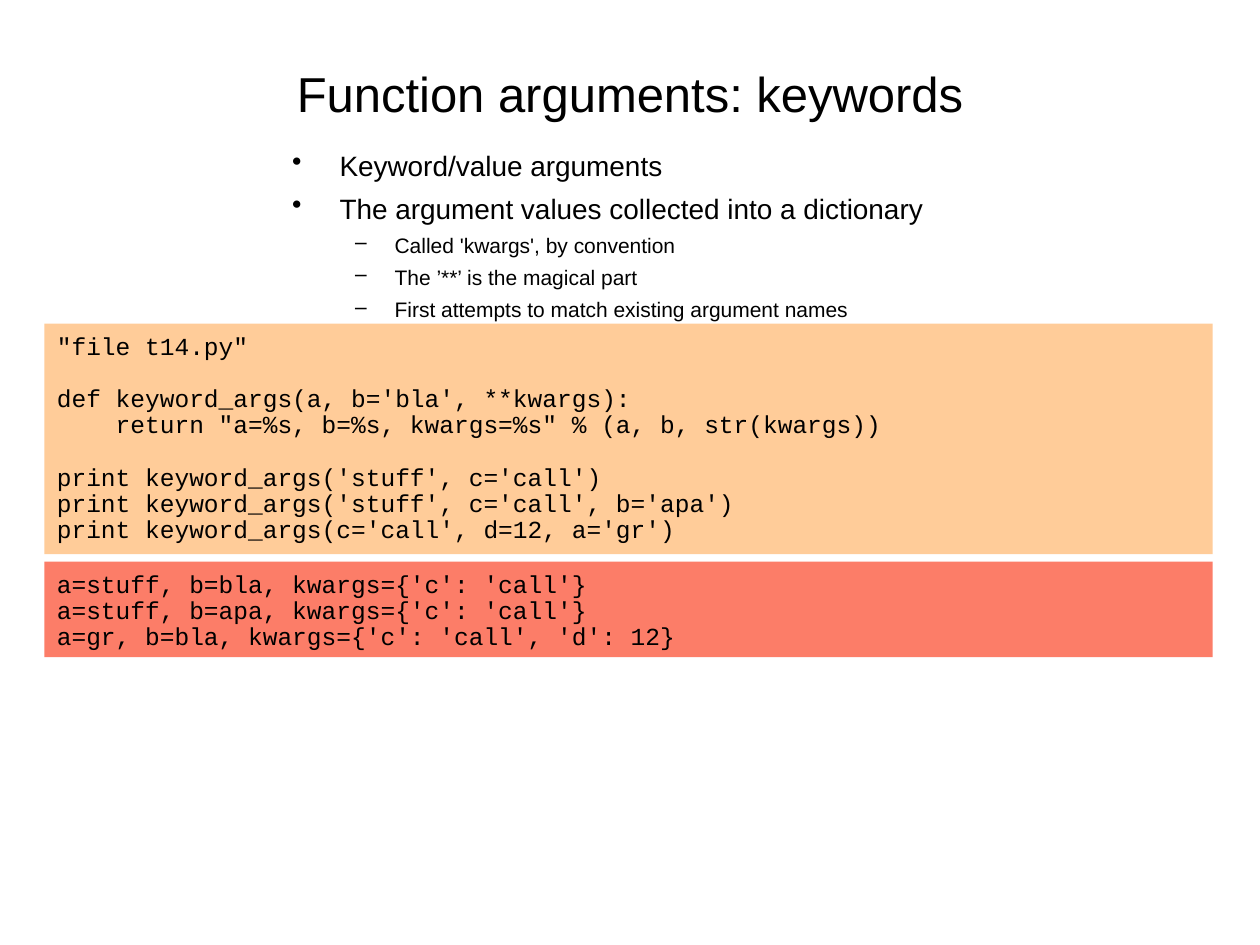
from dataclasses import dataclass

import pptx
import pptx.dml.color
import pptx.enum.shapes
import pptx.enum.text
import pptx.oxml.ns
import pptx.util
from lxml import etree

Pt = pptx.util.Pt
RGB = pptx.dml.color.RGBColor
ALIGN = pptx.enum.text.PP_ALIGN
ANCHOR = pptx.enum.text.MSO_ANCHOR


@dataclass(frozen=True)
class Theme:
    text: RGB = RGB(0x00, 0x00, 0x00)
    code_fill: RGB = RGB(0xFF, 0xCC, 0x99)
    output_fill: RGB = RGB(0xFC, 0x7D, 0x68)
    font: str = "Arial"
    code_font: str = "Courier New"
    title_size: int = 28
    bullet_sizes: tuple = (16, 12)
    code_size: int = 14
    code_leading: float = 14.95


THEME = Theme()

BULLETS = [
    (0, "Keyword/value arguments"),
    (0, "The argument values collected into a dictionary"),
    (1, "Called 'kwargs', by convention"),
    (1, "The ’**’ is the magical part"),
    (1, "First attempts to match existing argument names"),
]
LEVELS = [
    dict(char="•", left=27, hang=27, before=4.8),
    dict(char="–", left=58.5, hang=22.5, before=3.4),
]
CODE = [
    ['"file t14.py"'],
    [
        "def keyword_args(a, b='bla', **kwargs):",
        '    return "a=%s, b=%s, kwargs=%s" % (a, b, str(kwargs))',
    ],
    [
        "print keyword_args('stuff', c='call')",
        "print keyword_args('stuff', c='call', b='apa')",
        "print keyword_args(c='call', d=12, a='gr')",
    ],
]
OUTPUT = [[
    "a=stuff, b=bla, kwargs={'c': 'call'}",
    "a=stuff, b=apa, kwargs={'c': 'call'}",
    "a=gr, b=bla, kwargs={'c': 'call', 'd': 12}",
]]


def add_text(tf, text, size, font=THEME.font, align=ALIGN.LEFT, leading=1.04,
             before=0, level=None):
    first = not tf.paragraphs[0].runs
    p = tf.paragraphs[0] if first else tf.add_paragraph()
    p.alignment = align
    p.line_spacing = leading
    p.space_before = Pt(0 if first else before)
    if level is not None:
        style = LEVELS[level]
        p.level = level
        pPr = p._p.get_or_add_pPr()
        pPr.set("marL", str(Pt(style["left"])))
        pPr.set("indent", str(-Pt(style["hang"])))
        bu = etree.SubElement(pPr, pptx.oxml.ns.qn("a:buChar"))
        bu.set("char", style["char"])
    r = p.add_run()
    r.text = text
    r.font.size = Pt(size)
    r.font.name = font
    r.font.color.rgb = THEME.text


def set_frame(tf, anchor=ANCHOR.TOP, side=0, top=0):
    tf.word_wrap = True
    tf.vertical_anchor = anchor
    tf.margin_left = tf.margin_right = Pt(side)
    tf.margin_top, tf.margin_bottom = Pt(top), Pt(0)
    return tf


def add_title(s, box, text):
    sp = s.shapes.add_textbox(*map(Pt, box))
    tf = set_frame(sp.text_frame, anchor=ANCHOR.MIDDLE)
    add_text(tf, text, THEME.title_size, align=ALIGN.CENTER)


def add_bullets(s, box, items):
    sp = s.shapes.add_textbox(*map(Pt, box))
    tf = set_frame(sp.text_frame)
    for level, text in items:
        add_text(tf, text, THEME.bullet_sizes[level], level=level,
                 before=LEVELS[level]["before"])


def add_code_panel(s, box, blocks, fill):
    shape = pptx.enum.shapes.MSO_SHAPE.ROUNDED_RECTANGLE
    sp = s.shapes.add_shape(shape, *map(Pt, box))
    sp.adjustments[0] = 0
    sp.shadow.inherit = False
    sp.fill.solid()
    sp.fill.fore_color.rgb = fill
    sp.line.fill.background()
    tf = set_frame(sp.text_frame, side=7.2, top=6)
    for block in blocks:
        for i, line in enumerate(block):
            add_text(tf, line, THEME.code_size, font=THEME.code_font,
                     leading=Pt(THEME.code_leading),
                     before=0 if i else THEME.code_leading)


def main():
    prs = pptx.Presentation()
    prs.slide_width, prs.slide_height = Pt(720), Pt(540)
    s = prs.slides.add_slide(prs.slide_layouts[6])
    add_title(s, (54, 31.7, 612, 41), "Function arguments: keywords")
    add_bullets(s, (167, 84, 386, 107), BULLETS)
    add_code_panel(s, (25.4, 185, 667.6, 131.6), CODE, THEME.code_fill)
    add_code_panel(s, (25.4, 321, 667.6, 54.6), OUTPUT, THEME.output_fill)
    prs.save("out.pptx")


if __name__ == "__main__":
    main()
